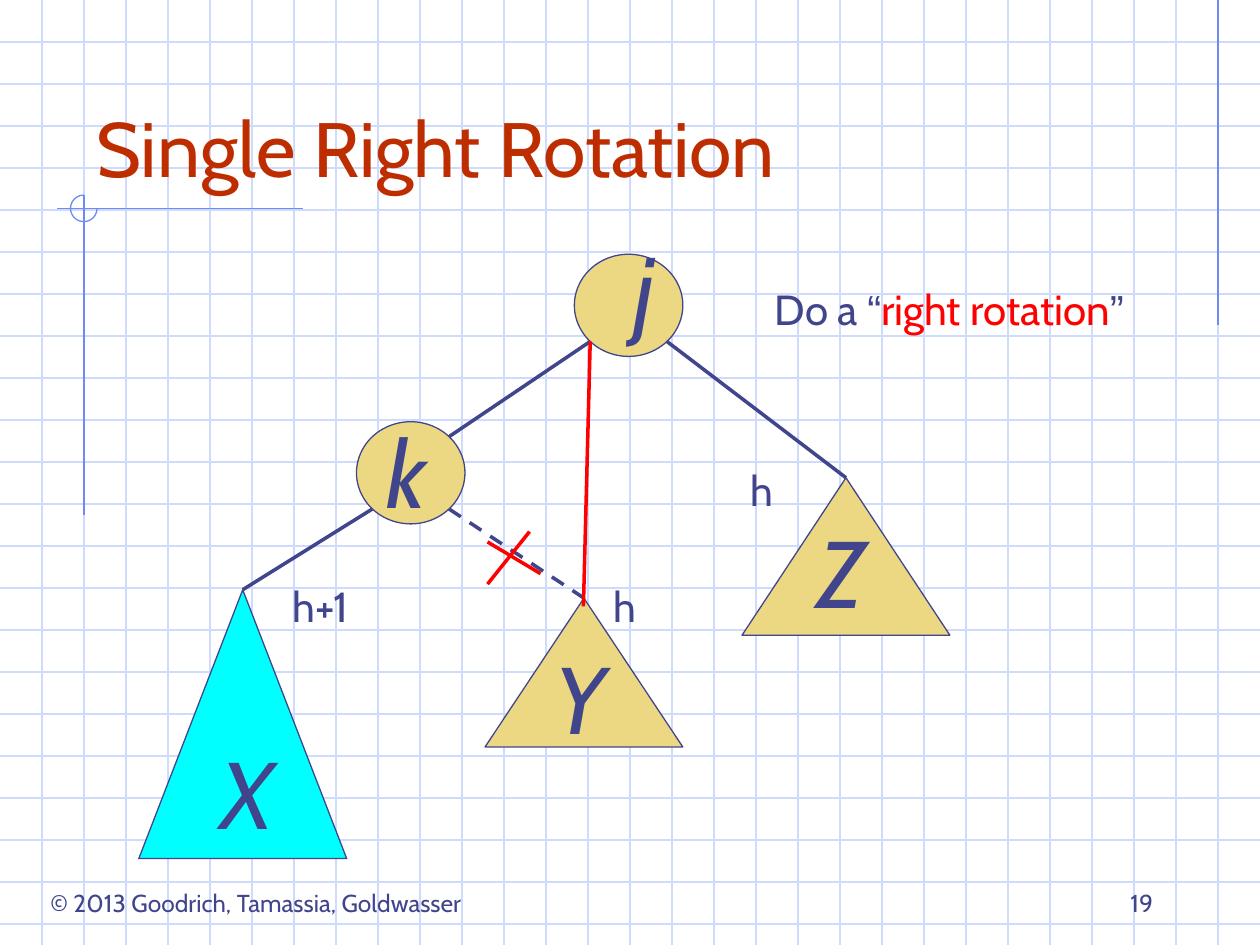
"""Build the slide showing a single right rotation in a binary search tree."""
import math

import pptx
import pptx.dml.color
import pptx.enum.dml
import pptx.enum.shapes
import pptx.enum.text
import pptx.oxml.ns
import pptx.util
from lxml import etree

Pt = pptx.util.Pt
RGBColor = pptx.dml.color.RGBColor
SHAPE = pptx.enum.shapes.MSO_SHAPE
ALIGN = pptx.enum.text.PP_ALIGN
ANCHOR = pptx.enum.text.MSO_ANCHOR

NAVY = RGBColor(0x40, 0x45, 0x8C)
RUST = RGBColor(0xBE, 0x2D, 0x00)
RED = RGBColor(0xFF, 0x00, 0x00)
SAND = RGBColor(0xEC, 0xD8, 0x82)
CYAN = RGBColor(0x00, 0xFF, 0xFF)
GRID = RGBColor(0xCF, 0xDB, 0xFD)
RULE = RGBColor(0x6F, 0x89, 0xF7)

WIDTH, HEIGHT, GRID_STEP = 720, 540, 24

RULES = [((696, 0), (696, 186)), ((173, 119.2), (32.5, 119.2)), ((48, 111.5), (48, 294.5))]
RULE_ARC = (40.3, 111.5, 15.2, 15.2)

NODES = {
    "j": (SHAPE.OVAL, SAND, (328.2, 145.3, 62, 58.4), (349, 128)),
    "k": (SHAPE.OVAL, SAND, (203.7, 241, 62, 58.4), (213.5, 233.3)),
    "X": (SHAPE.ISOSCELES_TRIANGLE, CYAN, (79.3, 337, 118.8, 153.6), (118.8, 416.5)),
    "Y": (SHAPE.ISOSCELES_TRIANGLE, SAND, (277.2, 341.8, 113, 85), (309.6, 362)),
    "Z": (SHAPE.ISOSCELES_TRIANGLE, SAND, (424, 273, 118.8, 90), (460, 290.2)),
}
NAME_SIZE = (38.2, 72)

LEFT, RIGHT, UP, DOWN = -1, 1, -1, 1
SUBTREE_EDGES = [("k", LEFT, "X", False), ("j", RIGHT, "Z", False), ("k", RIGHT, "Y", True)]
NEW_EDGE_END = (333.4, 346.5)
CROSS = [((278.6, 309.7), (308.9, 327.8)), ((302.6, 303.8), (278.6, 333.8))]

TEXTS = [
    ([("© 2013 Goodrich, Tamassia, Goldwasser", NAVY, "Cabin")], 14, (6.5, 504, 279.4, 24.5),
     ALIGN.CENTER, ANCHOR.TOP, False),
    ([("Single Right Rotation", RUST, "Cabin")], 44, (48, 24, 612, 90),
     ALIGN.LEFT, ANCHOR.BOTTOM, True),
    ([("19", NAVY, "Cabin")], 14, (516, 492, 150, 36), ALIGN.RIGHT, ANCHOR.BOTTOM, True),
    ([("Do a ", NAVY, "Cabin"), ("“", NAVY, "Arial"), ("right rotation", RED, "Cabin"),
      ("”", NAVY, "Arial")], 24, (422.6, 158.4, 239.8, 36), ALIGN.CENTER, ANCHOR.TOP, False),
]
HEIGHTS = [("h", (421.2, 262, 28.8, 36)), ("h+1", (154.8, 327.9, 56.9, 36)),
           ("h", (342.7, 327.9, 28.8, 36))]


def add_line(slide, start, end, color, weight, dashed=False):
    line = slide.shapes.add_connector(
        pptx.enum.shapes.MSO_CONNECTOR.STRAIGHT, *map(Pt, (*start, *end)))
    line.line.color.rgb = color
    line.line.width = Pt(weight)
    if dashed:
        line.line.dash_style = pptx.enum.dml.MSO_LINE.DASH
    etree.SubElement(line._element.spPr, pptx.oxml.ns.qn("a:effectLst"))
    return line


def add_text(slide, runs, size, place, align=ALIGN.CENTER, anchor=ANCHOR.TOP,
             wrap=False, italic=False):
    frame = slide.shapes.add_textbox(*map(Pt, place)).text_frame
    frame.word_wrap = wrap
    frame.vertical_anchor = anchor
    paragraph = frame.paragraphs[0]
    paragraph.alignment = align
    for wording, color, font in runs:
        run = paragraph.add_run()
        run.text = wording
        run.font.size = Pt(size)
        run.font.name = font
        run.font.italic = italic
        run.font.color.rgb = color


def add_outline(slide, kind, place, color):
    outline = slide.shapes.add_shape(kind, *map(Pt, place))
    outline.shadow.inherit = False
    outline.line.color.rgb = color
    outline.line.width = Pt(0.75)
    return outline


def rim(name, across, down):
    left, top, width, height = NODES[name][2]
    reach = math.sqrt(0.5) / 2
    return left + width * (0.5 + across * reach), top + height * (0.5 + down * reach)


def draw_backdrop(slide):
    for y in range(GRID_STEP, HEIGHT, GRID_STEP):
        add_line(slide, (0, y), (WIDTH, y), GRID, 0.75)
    for x in range(GRID_STEP, WIDTH, GRID_STEP):
        add_line(slide, (x, 0), (x, HEIGHT), GRID, 0.75)
    for start, end in RULES:
        add_line(slide, start, end, RULE, 0.75)
    arc = add_outline(slide, SHAPE.ARC, RULE_ARC, RULE)
    arc.fill.background()
    arc.adjustments[0] = 0
    arc.adjustments[1] = 162


def draw_tree(slide):
    drawn = {}
    for name, (kind, fill, place, name_at) in NODES.items():
        drawn[name] = add_outline(slide, kind, place, NAVY)
        drawn[name].fill.solid()
        drawn[name].fill.fore_color.rgb = fill
        add_text(slide, [(name, NAVY, "Cabin")], 54, (*name_at, *NAME_SIZE),
                 wrap=True, italic=True)
    for parent, side, subtree, dashed in SUBTREE_EDGES:
        left, top, width, _ = NODES[subtree][2]
        edge = add_line(slide, rim(parent, side, DOWN), (left + width / 2, top),
                        NAVY, 2, dashed)
        edge.end_connect(drawn[subtree], 0)
    add_line(slide, rim("k", RIGHT, UP), rim("j", LEFT, DOWN), NAVY, 2)
    for start, end in [(rim("j", LEFT, DOWN), NEW_EDGE_END), *CROSS]:
        add_line(slide, start, end, RED, 2)
    for wording, place in HEIGHTS:
        add_text(slide, [(wording, NAVY, "Cabin")], 24, place)


def main():
    deck = pptx.Presentation()
    deck.slide_width, deck.slide_height = Pt(WIDTH), Pt(HEIGHT)
    slide = deck.slides.add_slide(deck.slide_layouts[6])
    draw_backdrop(slide)
    for text in TEXTS:
        add_text(slide, *text)
    draw_tree(slide)
    deck.save("out.pptx")


if __name__ == "__main__":
    main()
